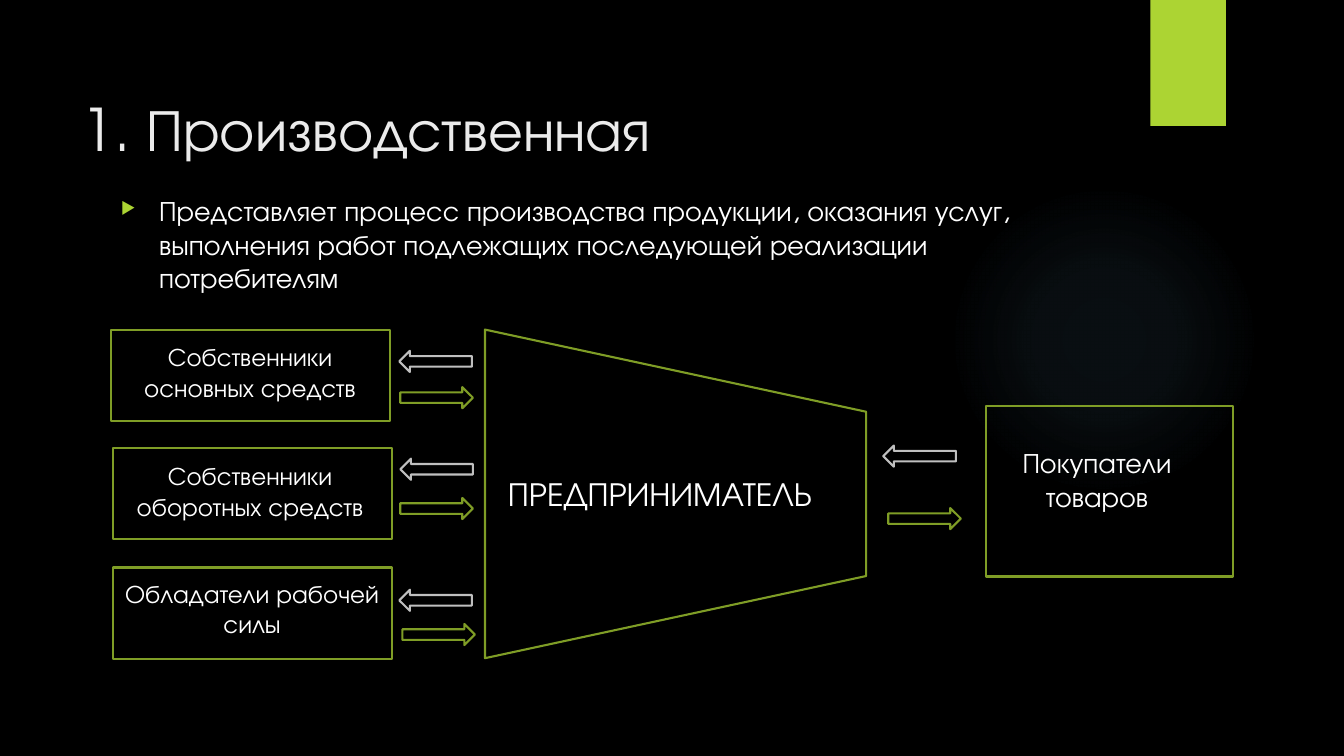
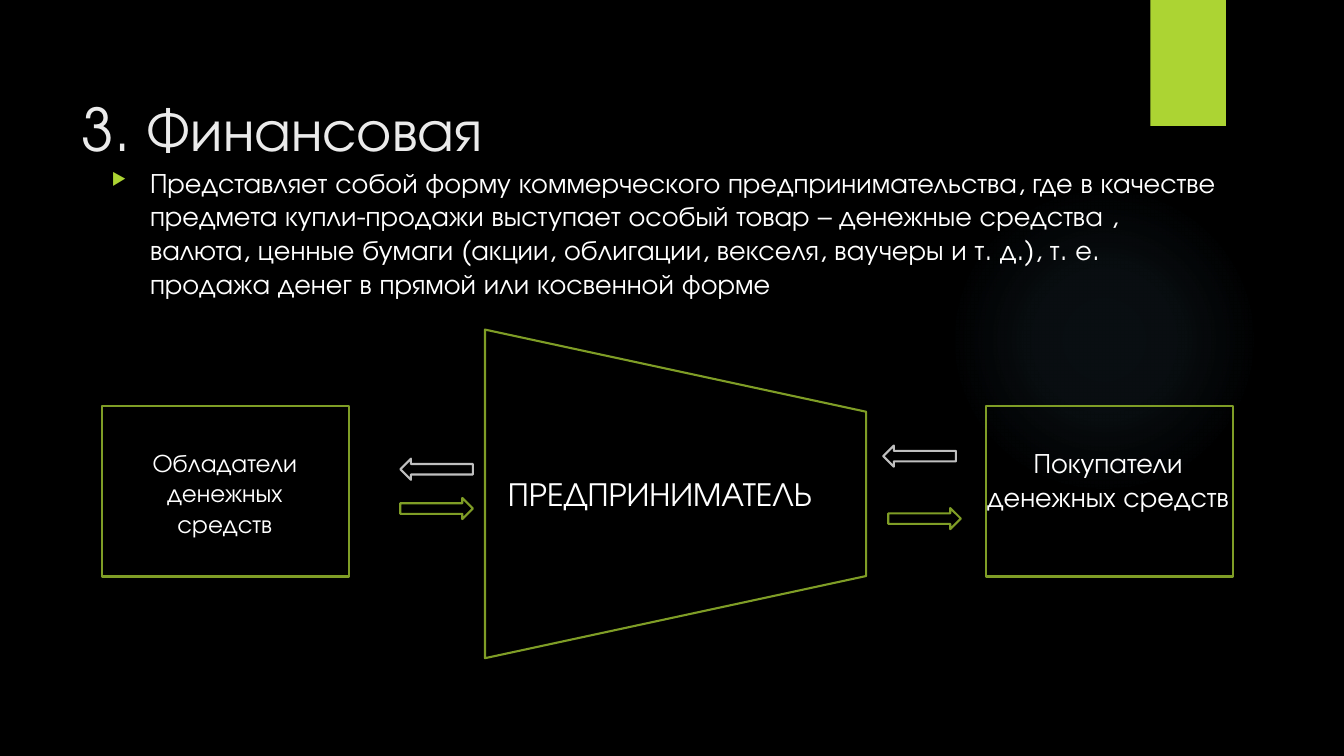
from lxml.etree import SubElement
from pptx import Presentation
from pptx.dml.color import RGBColor
from pptx.enum.shapes import MSO_SHAPE
from pptx.enum.text import MSO_ANCHOR, MSO_AUTO_SIZE, PP_ALIGN
from pptx.oxml import parse_xml
from pptx.oxml.ns import nsdecls, qn
from pptx.util import Inches, Pt

FONT = "TeX Gyre Adventor"
BLACK = RGBColor(0x00, 0x00, 0x00)
WHITE = RGBColor(0xFF, 0xFF, 0xFF)
TITLE_COLOR = RGBColor(0xEB, 0xEB, 0xEB)
LIME = RGBColor(0xAC, 0xD4, 0x33)
OLIVE = RGBColor(0x7F, 0x9D, 0x26)
GRAY = RGBColor(0xBF, 0xBF, 0xBF)
GLOW = RGBColor(0x7A, 0xC4, 0xF0)
GLOW_STOPS = ((0, 7), (36, 6), (69, 0))


class Deck:
    def __init__(self):
        self.presentation = Presentation()
        self.presentation.slide_width = Inches(13.33)
        self.presentation.slide_height = Inches(7.5)
        self.slide = None

    def add_slide(self, title):
        self.slide = self.presentation.slides.add_slide(self.presentation.slide_layouts[6])
        background = self.slide.background.fill
        background.solid()
        background.fore_color.rgb = BLACK
        self.glow(9.41, 1.83, 3.08)
        self.shape(MSO_SHAPE.RECTANGLE, 11.41, 0, 0.75, 1.25, fill=LIME)
        self.text(title, 0.71, 0.5, 10.29, 1.53, size=42, color=TITLE_COLOR,
                  anchor=MSO_ANCHOR.MIDDLE)

    def shape(self, kind, left, top, width, height, fill=None, line=None, rotation=0):
        shape = self.slide.shapes.add_shape(
            kind, Inches(left), Inches(top), Inches(width), Inches(height))
        shape.shadow.inherit = False
        shape.rotation = rotation
        if fill is None:
            shape.fill.background()
        else:
            shape.fill.solid()
            shape.fill.fore_color.rgb = fill
        if line is None:
            shape.line.fill.background()
        else:
            shape.line.color.rgb = line
            shape.line.width = Pt(1.5)
        return shape

    def glow(self, left, top, diameter):
        ellipse = self.shape(MSO_SHAPE.OVAL, left, top, diameter, diameter)
        stops = "".join(
            f'<a:gs pos="{position * 1000}"><a:srgbClr val="{GLOW}">'
            f'<a:alpha val="{alpha * 1000}"/></a:srgbClr></a:gs>'
            for position, alpha in GLOW_STOPS)
        gradient = parse_xml(
            f'<a:gradFill {nsdecls("a")} rotWithShape="1"><a:gsLst>{stops}</a:gsLst>'
            '<a:path path="circle"><a:fillToRect l="50000" t="50000" r="50000" b="50000"/>'
            '</a:path></a:gradFill>')
        properties = ellipse.element.spPr
        properties.replace(properties.find(qn("a:noFill")), gradient)

    def text(self, content, left, top, width, height, size=18, color=WHITE,
             align=PP_ALIGN.LEFT, anchor=MSO_ANCHOR.TOP, grow=False):
        box = self.slide.shapes.add_textbox(
            Inches(left), Inches(top), Inches(width), Inches(height))
        frame = box.text_frame
        frame.word_wrap = True
        frame.vertical_anchor = anchor
        if grow:
            frame.auto_size = MSO_AUTO_SIZE.SHAPE_TO_FIT_TEXT
        paragraph = frame.paragraphs[0]
        paragraph.alignment = align
        run = paragraph.add_run()
        run.text = content
        run.font.name = FONT
        run.font.size = Pt(size)
        run.font.color.rgb = color
        return paragraph

    def bullet(self, content, left, top, width, height):
        paragraph = self.text(content, left, top, width, height, size=20)
        properties = paragraph._p.get_or_add_pPr()
        properties.set("marL", str(Inches(0.38)))
        properties.set("indent", str(-Inches(0.38)))
        color = SubElement(properties, qn("a:buClr"))
        SubElement(color, qn("a:srgbClr"), val=str(LIME))
        SubElement(properties, qn("a:buSzPct"), val="60000")
        SubElement(properties, qn("a:buChar"), char="▶")

    def label(self, content, left, top, width, height, size=18, align=PP_ALIGN.CENTER):
        self.text(content, left, top, width, height, size=size, align=align, grow=True)

    def box(self, left, top, width, height):
        self.shape(MSO_SHAPE.RECTANGLE, left, top, width, height, line=OLIVE)

    def exchange(self, back, forth):
        for (left, top), color, rotation in ((back, GRAY, 180), (forth, OLIVE, 0)):
            self.shape(MSO_SHAPE.RIGHT_ARROW, left, top, 0.72, 0.21,
                       line=color, rotation=rotation)

    def entrepreneur_and_buyers(self, buyers, buyers_left):
        self.shape(MSO_SHAPE.TRAPEZOID, 5.07, 3.01, 3.26, 3.78, line=OLIVE, rotation=90)
        self.label("ПРЕДПРИНИМАТЕЛЬ", 4.94, 4.64, 3.5, 0.5, size=24, align=PP_ALIGN.LEFT)
        self.box(9.78, 4.03, 2.45, 1.69)
        self.label(buyers, buyers_left, 4.37, 2.68, 0.77, size=20)
        self.exchange((3.97, 4.55), (3.97, 4.94))
        self.exchange((8.76, 4.42), (8.81, 5.04))


def add_production_slide(deck):
    deck.add_slide("1. Производственная")
    deck.bullet("Представляет процесс производства продукции, оказания услуг, "
                "выполнения работ подлежащих последующей реализации потребителям",
                1.1, 1.87, 9.78, 1.19)
    owners = (
        ("Собственники основных средств", 1.1, 3.27, 1.04, 3.34, 2.88),
        ("Собственники оборотных средств", 1.12, 4.44, 1.04, 4.52, 2.88),
        ("Обладатели рабочей силы", 1.12, 5.63, 1.12, 5.69, 2.76),
    )
    for name, box_left, box_top, label_left, label_top, label_width in owners:
        deck.box(box_left, box_top, 2.77, 0.91)
        deck.label(name, label_left, label_top, label_width, 0.71)
    deck.entrepreneur_and_buyers("Покупатели товаров", 9.54)
    deck.exchange((3.96, 3.48), (3.97, 3.84))
    deck.exchange((3.96, 5.85), (3.99, 6.19))


def add_finance_slide(deck):
    deck.add_slide("3. Финансовая")
    deck.bullet("Представляет собой форму коммерческого предпринимательства, где в качестве "
                "предмета купли-продажи выступает особый товар – денежные средства , валюта, "
                "ценные бумаги (акции, облигации, векселя, ваучеры и т. д.), т. е. продажа "
                "денег в прямой или косвенной форме",
                1.01, 1.59, 11.2, 1.83)
    deck.entrepreneur_and_buyers("Покупатели денежных средств", 9.65)
    deck.box(1.01, 4.03, 2.45, 1.69)
    deck.label("Обладатели денежных средств", 1.18, 4.39, 2.1, 1.01)


def main():
    deck = Deck()
    add_production_slide(deck)
    add_finance_slide(deck)
    deck.presentation.save("out.pptx")


if __name__ == "__main__":
    main()
